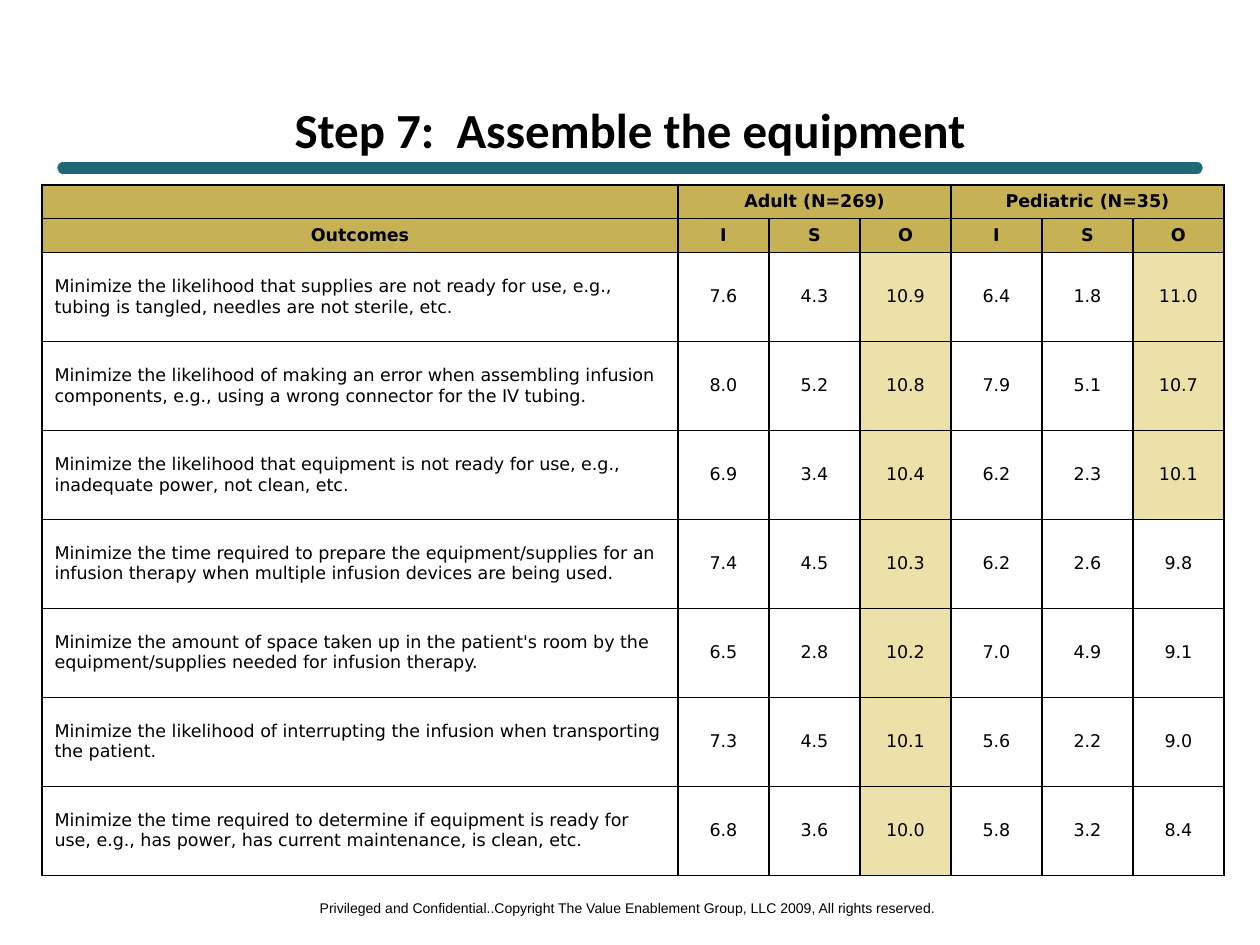
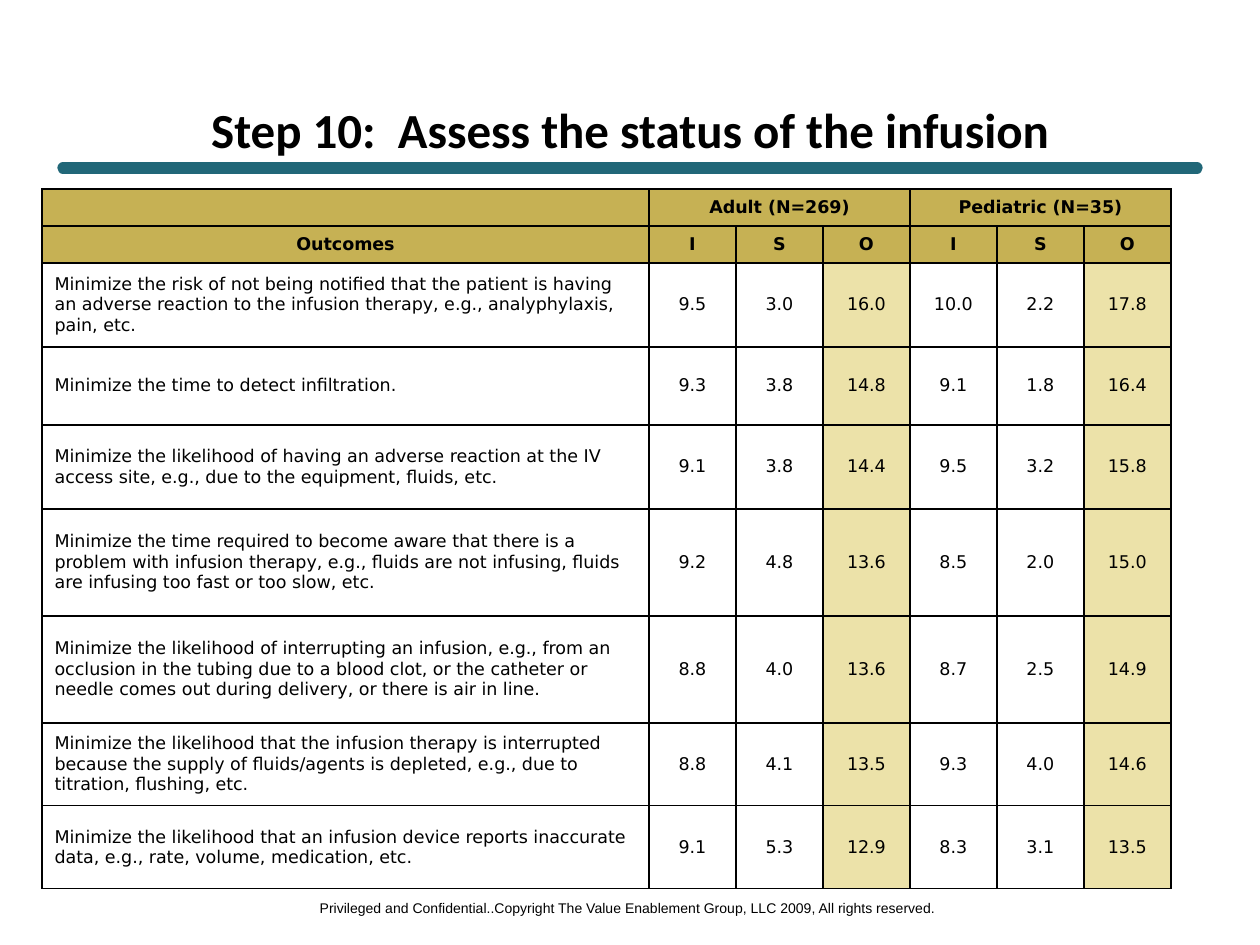
from dataclasses import dataclass

from lxml import etree
from pptx import Presentation
from pptx import util as u
from pptx.dml import color
from pptx.enum import shapes, text
from pptx.oxml import ns


@dataclass(frozen=True)
class Theme:
    ink: str = "000000"
    paper: str = "FFFFFF"
    rule: str = "216778"
    header: str = "C6B154"
    highlight: str = "ECE2A9"
    title: tuple = ("Calibri", 28, True)
    heading: tuple = ("DejaVu Sans", 10, True)
    body: tuple = ("DejaVu Sans", 10, False)
    footer: tuple = ("Arial", 8, False)
    rule_width: float = 6.5
    border_width: float = 1


THEME = Theme()
PX_PER_INCH = 126
HIGHLIGHT_FROM = 10
FOOTER = "Privileged and Confidential..Copyright The Value Enablement Group, LLC 2009, All rights reserved."
GROUPS = ("Adult (N=269)", "Pediatric (N=35)")
MEASURES = ("I", "S", "O")

ASSEMBLE = [
    ("Minimize the likelihood that supplies are not ready for use, e.g., tubing is tangled, needles are not sterile, etc.",
     "7.6 4.3 10.9 6.4 1.8 11.0"),
    ("Minimize the likelihood of making an error when assembling infusion components, e.g., using a wrong connector for the IV tubing.",
     "8.0 5.2 10.8 7.9 5.1 10.7"),
    ("Minimize the likelihood that equipment is not ready for use, e.g., inadequate power, not clean, etc.",
     "6.9 3.4 10.4 6.2 2.3 10.1"),
    ("Minimize the time required to prepare the equipment/supplies for an infusion therapy when multiple infusion devices are being used.",
     "7.4 4.5 10.3 6.2 2.6 9.8"),
    ("Minimize the amount of space taken up in the patient's room by the equipment/supplies needed for infusion therapy.",
     "6.5 2.8 10.2 7.0 4.9 9.1"),
    ("Minimize the likelihood of interrupting the infusion when transporting the patient.",
     "7.3 4.5 10.1 5.6 2.2 9.0"),
    ("Minimize the time required to determine if equipment is ready for use, e.g., has power, has current maintenance, is clean, etc.",
     "6.8 3.6 10.0 5.8 3.2 8.4"),
]

ASSESS = [
    ("Minimize the risk of not being notified that the patient is having an adverse reaction to the infusion therapy, e.g., analyphylaxis, pain, etc.",
     "9.5 3.0 16.0 10.0 2.2 17.8"),
    ("Minimize the time to detect infiltration.",
     "9.3 3.8 14.8 9.1 1.8 16.4"),
    ("Minimize the likelihood of having an adverse reaction at the IV access site, e.g., due to the equipment, fluids, etc.",
     "9.1 3.8 14.4 9.5 3.2 15.8"),
    ("Minimize the time required to become aware that there is a problem with infusion therapy, e.g., fluids are not infusing, fluids are infusing too fast or too slow, etc.",
     "9.2 4.8 13.6 8.5 2.0 15.0"),
    ("Minimize the likelihood of interrupting an infusion, e.g., from an occlusion in the tubing due to a blood clot, or the catheter or needle comes out during delivery, or there is air in line.",
     "8.8 4.0 13.6 8.7 2.5 14.9"),
    ("Minimize the likelihood that the infusion therapy is interrupted because the supply of fluids/agents is depleted, e.g., due to titration, flushing, etc.",
     "8.8 4.1 13.5 9.3 4.0 14.6"),
    ("Minimize the likelihood that an infusion device reports inaccurate data, e.g., rate, volume, medication, etc.",
     "9.1 5.3 12.9 8.3 3.1 13.5"),
]


def px(n):
    return u.Emu(round(n * 914400 / PX_PER_INCH))


def rgb(value):
    return color.RGBColor.from_string(value)


def set_attrs(target, **values):
    for name, value in values.items():
        setattr(target, name, value)


def write(tf, content, style, align=text.PP_ALIGN.CENTER):
    p = tf.paragraphs[0]
    p.alignment = align
    name, size, bold = style
    if not content:
        end = etree.SubElement(p._p, ns.qn("a:endParaRPr"))
        end.set("sz", str(size * 100))
        return
    r = p.add_run()
    r.text = content
    set_attrs(r.font, name=name, size=u.Pt(size), bold=bold)
    r.font.color.rgb = rgb(THEME.ink)


def add_label(s, box, content, style, wrap):
    tf = s.shapes.add_textbox(*map(px, box)).text_frame
    set_attrs(tf, word_wrap=wrap, vertical_anchor=text.MSO_ANCHOR.MIDDLE,
              margin_top=0, margin_bottom=0)
    write(tf, content, style)


def add_rule(s, left, right, y):
    sp = s.shapes.add_connector(shapes.MSO_CONNECTOR.STRAIGHT, px(left), px(y), px(right), px(y))
    sp.line.color.rgb = rgb(THEME.rule)
    sp.line.width = u.Pt(THEME.rule_width)
    sp.line._get_or_add_ln().set("cap", "rnd")
    etree.SubElement(sp._element.spPr, ns.qn("a:effectLst"))


def add_borders(cell):
    tc_pr = cell._tc.get_or_add_tcPr()
    for side in ("lnL", "lnR", "lnT", "lnB"):
        ln = etree.SubElement(tc_pr, ns.qn(f"a:{side}"), w=str(u.Pt(THEME.border_width)))
        fill = etree.SubElement(ln, ns.qn("a:solidFill"))
        etree.SubElement(fill, ns.qn("a:srgbClr"), val=THEME.ink)


def fill_cell(cell, content, style, fill, align=text.PP_ALIGN.CENTER):
    add_borders(cell)
    cell.fill.solid()
    cell.fill.fore_color.rgb = rgb(fill)
    cell.vertical_anchor = text.MSO_ANCHOR.MIDDLE
    write(cell.text_frame, content, style, align)


def score_fill(column, score):
    is_opportunity = column % len(MEASURES) == 0
    return THEME.highlight if is_opportunity and float(score) >= HIGHLIGHT_FROM else THEME.paper


def add_outcome_table(s, top, widths, heights, outcomes):
    frame = s.shapes.add_table(len(heights), len(widths), px(42), px(top),
                               px(sum(widths)), px(sum(heights)))
    table = frame.table
    set_attrs(table, first_row=False, horz_banding=False)
    for column, width in zip(table.columns, widths):
        column.width = px(width)
    for row, height in zip(table.rows, heights):
        row.height = px(height)

    span = len(MEASURES)
    group_row = [""]
    for group in GROUPS:
        group_row += [group] + [""] * (span - 1)
    measure_row = ["Outcomes", *MEASURES * len(GROUPS)]
    for i, labels in enumerate((group_row, measure_row)):
        for j, label in enumerate(labels):
            fill_cell(table.cell(i, j), label, THEME.heading, THEME.header)
    for j in range(1, len(widths), span):
        table.cell(0, j).merge(table.cell(0, j + span - 1))

    for i, (outcome, scores) in enumerate(outcomes, 2):
        fill_cell(table.cell(i, 0), outcome, THEME.body, THEME.paper, text.PP_ALIGN.LEFT)
        for j, score in enumerate(scores.split(), 1):
            fill_cell(table.cell(i, j), score, THEME.body, score_fill(j, score))


def add_step_slide(prs, title, **table):
    s = prs.slides.add_slide(prs.slide_layouts[6])
    add_rule(s, 63, 1197, 168)
    add_label(s, (303, 893, 650, 30), FOOTER, THEME.footer, False)
    add_label(s, (63, 105, 1134, 48), title, THEME.title, True)
    add_outcome_table(s, **table)


def main():
    prs = Presentation()
    set_attrs(prs, slide_width=px(1260), slide_height=px(945))
    add_step_slide(prs, "Step 7:  Assemble the equipment", top=185,
                   widths=[636] + [91] * 6, heights=[33] * 2 + [89] * 7, outcomes=ASSEMBLE)
    add_step_slide(prs, "Step 10:  Assess the status of the infusion", top=189,
                   widths=[607] + [87] * 6,
                   heights=[37, 37, 84, 78, 84, 107, 107, 83, 83], outcomes=ASSESS)
    prs.save("out.pptx")


if __name__ == "__main__":
    main()
